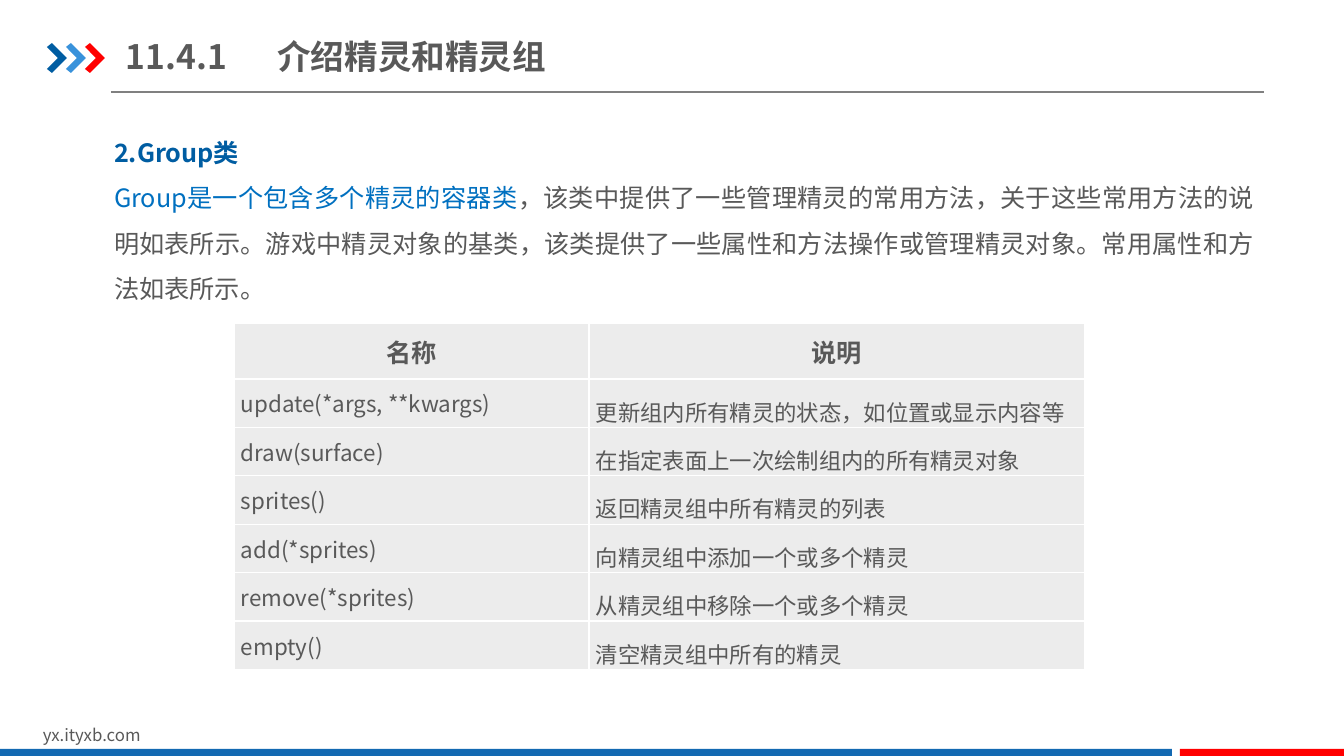
import pptx
import pptx.dml.color
import pptx.enum.shapes
import pptx.enum.text
import pptx.oxml.ns
import pptx.util
from lxml import etree

EMU_PER_PX = 914400 / 100.8
FONT = "Noto Sans CJK SC"
COLORS = {
    "navy": "005DA2", "sky": "3992DB", "red": "FF0000", "bar": "1369B2",
    "accent": "0070C0", "text": "595959", "rule": "808080",
    "cell": "ECECEC", "border": "FFFFFF",
}
ALIGN = pptx.enum.text.PP_ALIGN
ANCHOR = pptx.enum.text.MSO_ANCHOR
RECTANGLE = pptx.enum.shapes.MSO_SHAPE.RECTANGLE

METHODS = [
    ("update(*args, **kwargs)", "更新组内所有精灵的状态，如位置或显示内容等"),
    ("draw(surface)", "在指定表面上一次绘制组内的所有精灵对象"),
    ("sprites()", "返回精灵组中所有精灵的列表"),
    ("add(*sprites)", "向精灵组中添加一个或多个精灵"),
    ("remove(*sprites)", "从精灵组中移除一个或多个精灵"),
    ("empty()", "清空精灵组中所有的精灵"),
]


def px(length):
    return pptx.util.Emu(round(length * EMU_PER_PX))


def rgb(name):
    return pptx.dml.color.RGBColor.from_string(COLORS[name])


def add_xml(parent, tag, **attributes):
    return etree.SubElement(parent, pptx.oxml.ns.qn(tag), attributes)


def place(shape, box):
    shape.left, shape.top, shape.width, shape.height = map(px, box)


def fill_plain(shape, color):
    shape.shadow.inherit = False
    shape.fill.solid()
    shape.fill.fore_color.rgb = rgb(color)
    shape.line.fill.background()


def set_margins(target, horizontal, vertical):
    target.margin_left = target.margin_right = px(horizontal)
    target.margin_top = target.margin_bottom = px(vertical)


def write(frame, paragraphs, size, color="text", bold=False, align=ALIGN.LEFT,
          spacing=1.0, tab=None):
    """Fill a frame; each paragraph is a list of (text, color, bold), the last two optional."""
    for index, runs in enumerate(paragraphs):
        paragraph = frame.add_paragraph() if index else frame.paragraphs[0]
        properties = paragraph._p.get_or_add_pPr()
        properties.set("marL", "0")
        properties.set("indent", "0")
        add_xml(properties, "a:buNone")
        if tab:
            stops = add_xml(properties, "a:tabLst")
            add_xml(stops, "a:tab", pos=str(px(tab)), algn="l")
        paragraph.alignment = align
        paragraph.line_spacing = spacing
        paragraph.space_before = pptx.util.Pt(0)
        for text, *style in runs:
            run_color, run_bold = style or (color, bold)
            run = paragraph.add_run()
            run.text = text
            run.font.size = pptx.util.Pt(size)
            run.font.bold = run_bold
            run.font.color.rgb = rgb(run_color)
            run.font.name = FONT
            add_xml(run._r.get_or_add_rPr(), "a:ea", typeface=FONT)


def add_chevrons(slide, box):
    left, top, width, height = box
    middle = height // 2
    outline = [(0, 4), (5, 0), (width, middle), (5, height), (0, height - 4), (11, middle)]
    for index, color in enumerate(("navy", "sky", "red")):
        start = left + 19 * index
        points = [(start + x, top + y) for x, y in outline]
        builder = slide.shapes.build_freeform(*points[0], scale=EMU_PER_PX)
        builder.add_line_segments(points[1:], close=True)
        fill_plain(builder.convert_to_shape(), color)


def add_header(slide, box):
    left, top, width, height = box
    add_chevrons(slide, (left, top + 14, 20, 30))

    title = slide.shapes.title
    place(title, (left + 79, top, 506, 55))
    frame = title.text_frame
    frame.auto_size = pptx.enum.text.MSO_AUTO_SIZE.NONE
    frame.vertical_anchor = ANCHOR.MIDDLE
    set_margins(frame, 0, 7)
    write(frame, [[("11.4.1\t介绍精灵和精灵组",)]], size=24, bold=True, tab=123)

    bottom = px(top + height)
    rule = slide.shapes.add_connector(
        pptx.enum.shapes.MSO_CONNECTOR.STRAIGHT,
        px(left + 64), bottom, px(left + width), bottom)
    rule.line.color.rgb = rgb("rule")
    rule.line.width = pptx.util.Pt(0.75)
    add_xml(rule._element.spPr, "a:effectLst")


def add_description(slide, box):
    description = slide.placeholders[1]
    place(description, box)
    frame = description.text_frame
    frame.auto_size = pptx.enum.text.MSO_AUTO_SIZE.NONE
    frame.vertical_anchor = ANCHOR.TOP
    set_margins(frame, 13, 7)
    write(frame, [
        [("2.Group类", "navy", True)],
        [("Group是一个包含多个精灵的容器类", "accent", False),
         ("，该类中提供了一些管理精灵的常用方法，关于这些常用方法的说明如表所示。"
          "游戏中精灵对象的基类，该类提供了一些属性和方法操作或管理精灵对象。"
          "常用属性和方法如表所示。",)],
    ], size=18, align=ALIGN.JUSTIFY, spacing=1.5)


def format_cell(cell):
    cell.vertical_anchor = ANCHOR.MIDDLE
    properties = cell._tc.get_or_add_tcPr()
    for side in ("a:lnL", "a:lnR", "a:lnT", "a:lnB"):
        border = add_xml(properties, side, w=str(pptx.util.Pt(1)))
        add_xml(add_xml(border, "a:solidFill"), "a:srgbClr", val=COLORS["border"])
    cell.fill.solid()
    cell.fill.fore_color.rgb = rgb("cell")


def add_method_table(slide, box, name_width=355, header_height=56):
    left, top, width, height = box
    table = slide.shapes.add_table(len(METHODS) + 1, 2, *map(px, box)).table
    table.first_row = table.horz_banding = False
    table.columns[0].width = px(name_width)
    table.columns[1].width = px(width - name_width)
    for row in table.rows:
        row.height = px((height - header_height) / len(METHODS))
    table.rows[0].height = px(header_height)

    for column, heading in enumerate(("名称", "说明")):
        cell = table.cell(0, column)
        format_cell(cell)
        write(cell.text_frame, [[(heading,)]], size=18, bold=True, align=ALIGN.CENTER)
    for row, method in enumerate(METHODS, start=1):
        for column, text in enumerate(method):
            cell = table.cell(row, column)
            format_cell(cell)
            set_margins(cell, 7, 0)
            write(cell.text_frame, [[(text,)]], size=16, spacing=(1.0, 1.5)[column])


def add_footer(slide, box):
    left, top, width, height = box
    address = slide.shapes.add_textbox(*map(px, (left + 33, top, 321, 30)))
    address.text_frame.word_wrap = True
    write(address.text_frame, [[("yx.ityxb.com",)]], size=12)

    bar_height, red_width, gap = 7, 164, 8
    bar_top = top + height - bar_height
    red_left = left + width - red_width
    for start, bar_width, color in ((left, red_left - gap - left, "bar"),
                                    (red_left, red_width, "red")):
        bar = slide.shapes.add_shape(
            RECTANGLE, *map(px, (start, bar_top, bar_width, bar_height)))
        fill_plain(bar, color)


def main():
    presentation = pptx.Presentation()
    presentation.slide_width, presentation.slide_height = px(1344), px(756)
    slide = presentation.slides.add_slide(presentation.slide_layouts[1])
    add_header(slide, (47, 29, 1217, 63))
    add_description(slide, (101, 115, 1167, 207))
    add_method_table(slide, (234, 323, 851, 341))
    add_footer(slide, (0, 720, 1344, 36))
    presentation.save("out.pptx")


if __name__ == "__main__":
    main()
